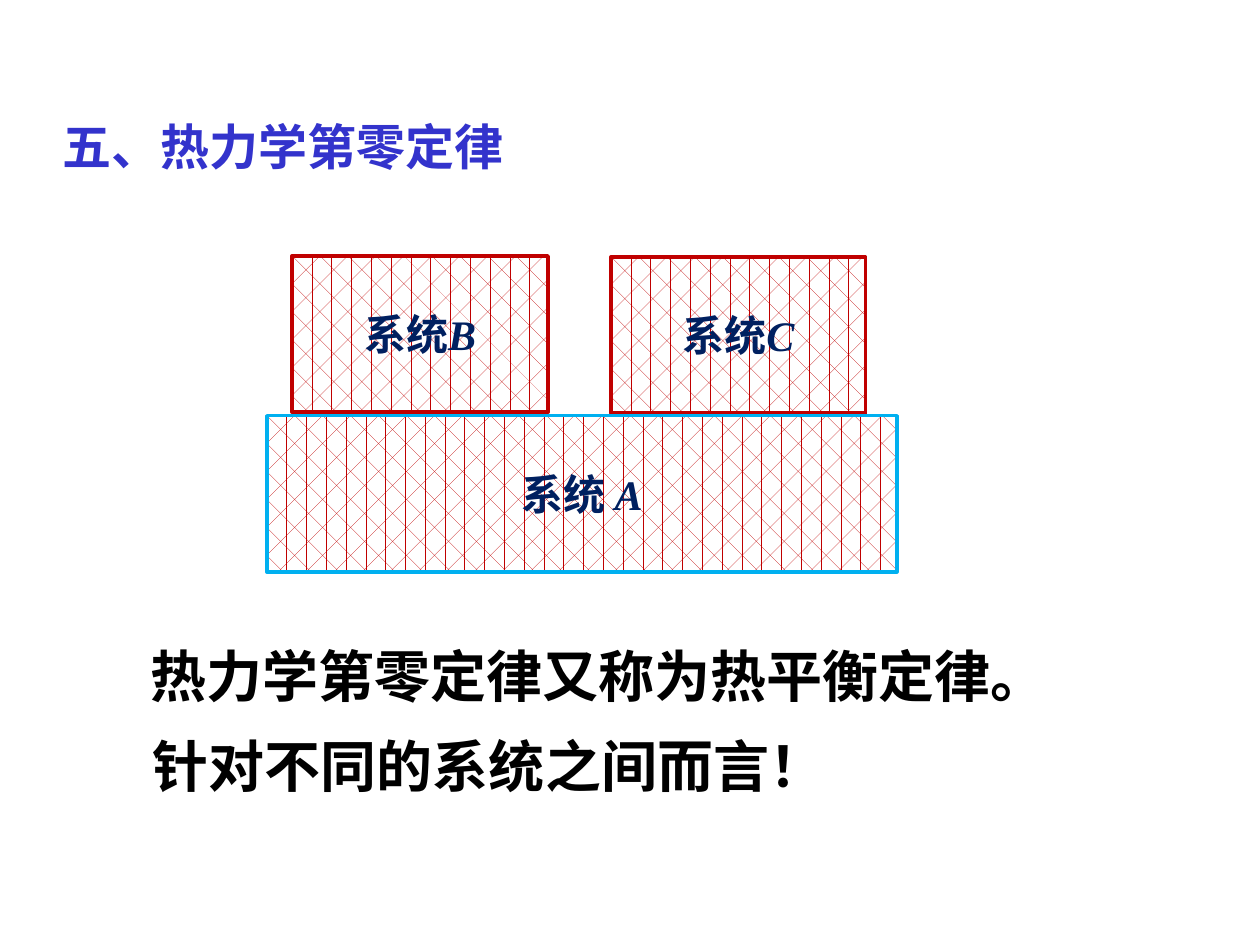
from lxml import etree
from pptx import Presentation
from pptx.dml.color import RGBColor
from pptx.enum.dml import MSO_PATTERN
from pptx.enum.shapes import MSO_SHAPE
from pptx.enum.text import MSO_ANCHOR, MSO_AUTO_SIZE, PP_ALIGN
from pptx.oxml.ns import qn
from pptx.util import Cm, Pt

RECT = MSO_SHAPE.RECTANGLE
DIVOT = MSO_PATTERN.DIVOT
MIDDLE = MSO_ANCHOR.MIDDLE
GROW = MSO_AUTO_SIZE.SHAPE_TO_FIT_TEXT
LEFT, CENTER = PP_ALIGN.LEFT, PP_ALIGN.CENTER
HAN, ROMAN = "Noto Sans CJK SC", "Times New Roman"
RED, CYAN, NAVY = "C00000", "00B0F0", "002060"

TEXTS = [
    ("五、热力学第零定律", (1.02, 1.63, 9.45, 2.06), 28, HAN, "3333CC", LEFT, 1.5, False),
    ("热力学第零定律又称为热平衡定律。", (2.49, 12.8, 19.18, 1.63), 32, ROMAN, "000000", CENTER, None, True),
    ("针对不同的系统之间而言！", (2.18, 14.63, 15.37, 1.63), 32, ROMAN, "000000", CENTER, None, True),
]
TALL = 3.15
BLOCKS = [
    ("系统", "B", 5.89, 5.16, 5.16, RED),
    ("系统", "C", 12.32, 5.18, 5.13, RED),
    ("系统 ", "A", 5.38, 8.38, 12.7, CYAN),
]


def color(code):
    return RGBColor.from_string(code)


def add_run(para, text, size, face, code, italic=False):
    run = para.add_run()
    run.text = text
    font = run.font
    font.size, font.name, font.bold = Pt(size), face, True
    if italic:
        font.italic = True
    font.color.rgb = color(code)
    east = etree.SubElement(font._element, qn("a:ea"))
    east.set("typeface", HAN)


def add_text(slide, text, box, size, face, code, align, space, wrap):
    frame = slide.shapes.add_textbox(*map(Cm, box)).text_frame
    frame.word_wrap = wrap
    frame.auto_size = GROW
    para = frame.paragraphs[0]
    para.alignment = align
    para.line_spacing = space
    add_run(para, text, size, face, code)


def add_block(slide, word, mark, left, top, width, edge):
    block = slide.shapes.add_shape(RECT, Cm(left), Cm(top), Cm(width), Cm(TALL))
    block.shadow.inherit = False
    block.fill.patterned()
    block.fill.pattern = DIVOT
    block.fill.fore_color.rgb = color(RED)
    block.fill.back_color.rgb = color("FFFFFF")
    block.line.color.rgb = color(edge)
    block.line.width = Pt(2)
    frame = block.text_frame
    frame.vertical_anchor = MIDDLE
    para = frame.paragraphs[0]
    para.alignment = CENTER
    add_run(para, word, 24, HAN, NAVY)
    add_run(para, mark, 24, ROMAN, NAVY, True)


def main():
    """Build the slide on the zeroth law of thermodynamics."""
    deck = Presentation()
    deck.slide_width, deck.slide_height = Cm(25.4), Cm(19.05)
    slide = deck.slides.add_slide(deck.slide_layouts[6])
    for block in BLOCKS:
        add_block(slide, *block)
    for text in TEXTS:
        add_text(slide, *text)
    deck.save("out.pptx")


if __name__ == "__main__":
    main()
